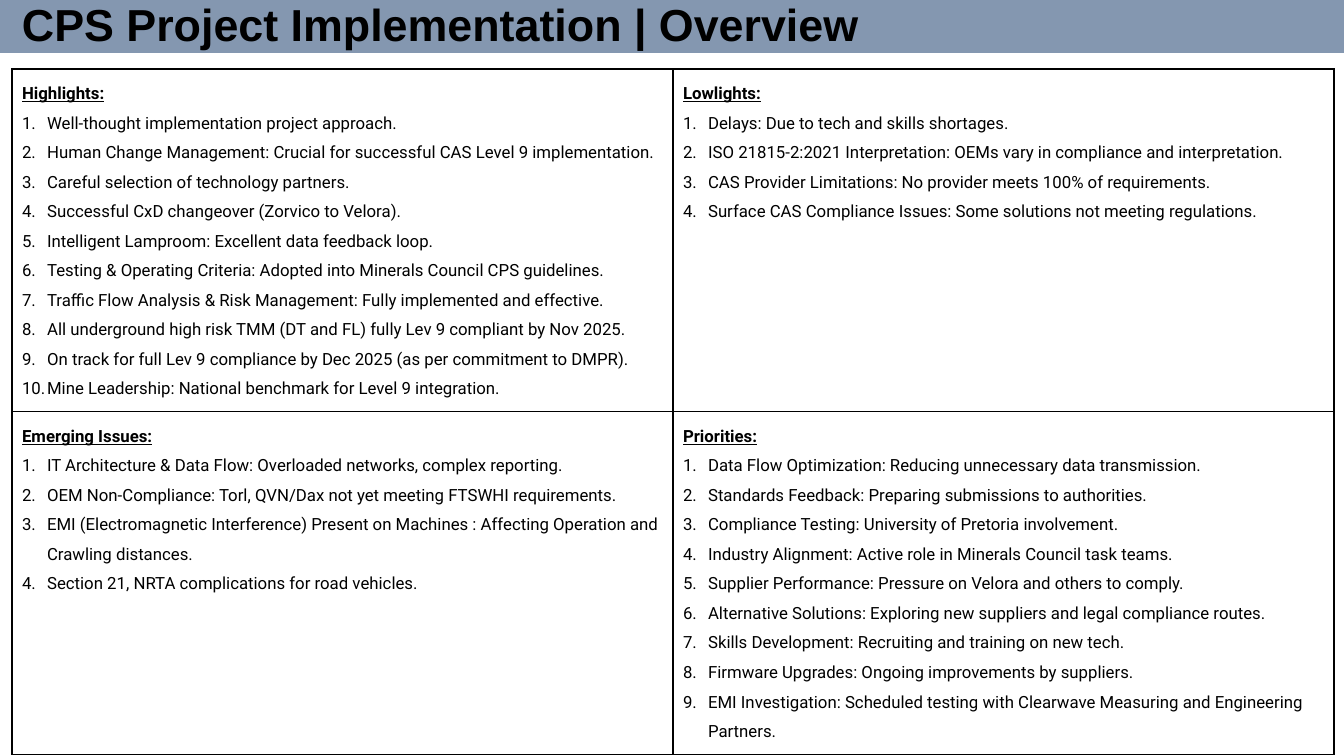
from lxml import etree
from pptx import Presentation, util as u
from pptx.dml.color import RGBColor
from pptx.enum import shapes, text
from pptx.oxml import ns

SCALE = 12192000 / 1344

QUADRANTS = [
    [
        ("Highlights:", [
            "Well-thought implementation project approach.",
            "Human Change Management: Crucial for successful CAS Level 9 implementation.",
            "Careful selection of technology partners.",
            "Successful CxD changeover (Zorvico to Velora).",
            "Intelligent Lamproom: Excellent data feedback loop.",
            "Testing & Operating Criteria: Adopted into Minerals Council CPS guidelines.",
            "Traffic Flow Analysis & Risk Management: Fully implemented and effective.",
            "All underground high risk TMM (DT and FL) fully Lev 9 compliant by Nov 2025.",
            "On track for full Lev 9 compliance by Dec 2025 (as per commitment to DMPR).",
            "Mine Leadership: National benchmark for Level 9 integration.",
        ]),
        ("Lowlights:", [
            "Delays: Due to tech and skills shortages.",
            "ISO 21815-2:2021 Interpretation: OEMs vary in compliance and interpretation.",
            "CAS Provider Limitations: No provider meets 100% of requirements.",
            "Surface CAS Compliance Issues: Some solutions not meeting regulations.",
        ]),
    ],
    [
        ("Emerging Issues:", [
            "IT Architecture & Data Flow: Overloaded networks, complex reporting.",
            "OEM Non-Compliance: Torl, QVN/Dax not yet meeting FTSWHI requirements.",
            "EMI (Electromagnetic Interference) Present on Machines : "
            "Affecting Operation and Crawling distances.",
            "Section 21, NRTA complications for road vehicles.",
        ]),
        ("Priorities:", [
            "Data Flow Optimization: Reducing unnecessary data transmission.",
            "Standards Feedback: Preparing submissions to authorities.",
            "Compliance Testing: University of Pretoria involvement.",
            "Industry Alignment: Active role in Minerals Council task teams.",
            "Supplier Performance: Pressure on Velora and others to comply.",
            "Alternative Solutions: Exploring new suppliers and legal compliance routes.",
            "Skills Development: Recruiting and training on new tech.",
            "Firmware Upgrades: Ongoing improvements by suppliers.",
            "EMI Investigation: Scheduled testing with Clearwave Measuring "
            "and Engineering Partners.",
        ]),
    ],
]


def px(length):
    return u.Emu(round(length * SCALE))


def color(value):
    return RGBColor.from_string(value)


class OverviewSlide:
    """Draws the elements of the overview slide in one shared style."""

    ink = "000000"
    paper = "FFFFFF"
    band = "8497B0"
    title_font = "Arial"
    body_font = "Roboto"

    def __init__(self, presentation):
        self.slide = presentation.slides.add_slide(presentation.slide_layouts[6])

    def style(self, paragraph, name, size, bold=False, underline=False):
        for run in paragraph.runs:
            run.font.name = name
            run.font.size = u.Pt(size)
            run.font.bold = bold
            run.font.underline = underline
            run.font.color.rgb = color(self.ink)
        ending = etree.SubElement(
            paragraph._p, ns.qn("a:endParaRPr"), sz=str(size * 100))
        etree.SubElement(ending, ns.qn("a:latin"), typeface=name)

    def banner(self, left, top, width, height):
        shape = self.slide.shapes.add_shape(
            shapes.MSO_SHAPE.RECTANGLE, px(left), px(top), px(width), px(height))
        shape.shadow.inherit = False
        shape.fill.solid()
        shape.fill.fore_color.rgb = color(self.band)
        shape.line.fill.background()

    def title(self, wording, left, top, width, height):
        box = self.slide.shapes.add_textbox(px(left), px(top), px(width), px(height))
        frame = box.text_frame
        frame.text = wording
        frame.word_wrap = True
        frame.vertical_anchor = text.MSO_ANCHOR.MIDDLE
        paragraph = frame.paragraphs[0]
        paragraph.line_spacing = 0.9
        self.style(paragraph, self.title_font, 32, bold=True)

    def borders(self, cell):
        properties = cell._tc.get_or_add_tcPr()
        for side in ("a:lnL", "a:lnR", "a:lnT", "a:lnB"):
            line = etree.SubElement(properties, ns.qn(side), w=str(u.Pt(1)))
            fill = etree.SubElement(line, ns.qn("a:solidFill"))
            etree.SubElement(fill, ns.qn("a:srgbClr"), val=self.ink)

    def number(self, paragraph, indent):
        properties = paragraph._p.get_or_add_pPr()
        properties.set("marL", str(px(indent)))
        properties.set("indent", str(-px(indent)))
        etree.SubElement(properties, ns.qn("a:buFont"), typeface="+mj-lt")
        etree.SubElement(properties, ns.qn("a:buAutoNum"), type="arabicPeriod")

    def quadrant(self, cell, heading, items):
        self.borders(cell)
        cell.fill.solid()
        cell.fill.fore_color.rgb = color(self.paper)
        cell.text_frame.text = "\n".join([heading, *items])
        for index, paragraph in enumerate(cell.text_frame.paragraphs):
            is_heading = index == 0
            if not is_heading:
                self.number(paragraph, 25)
            paragraph.line_spacing = 1.5
            self.style(paragraph, self.body_font, 12, is_heading, is_heading)

    def grid(self, quadrants, left, top, width, height):
        rows, columns = len(quadrants), len(quadrants[0])
        table = self.slide.shapes.add_table(
            rows, columns, px(left), px(top), px(width), px(height)).table
        table.first_row = False
        table.horz_banding = False
        for row, contents in enumerate(quadrants):
            for column, (heading, items) in enumerate(contents):
                self.quadrant(table.cell(row, column), heading, items)


def main():
    presentation = Presentation()
    presentation.slide_width = px(1344)
    presentation.slide_height = px(756)
    overview = OverviewSlide(presentation)
    overview.banner(0, 0, 1344, 53)
    overview.title("CPS Project Implementation | Overview", 12, 1, 1314, 53)
    overview.grid(QUADRANTS, 12, 69, 1322, 576)
    presentation.save("out.pptx")


if __name__ == "__main__":
    main()
